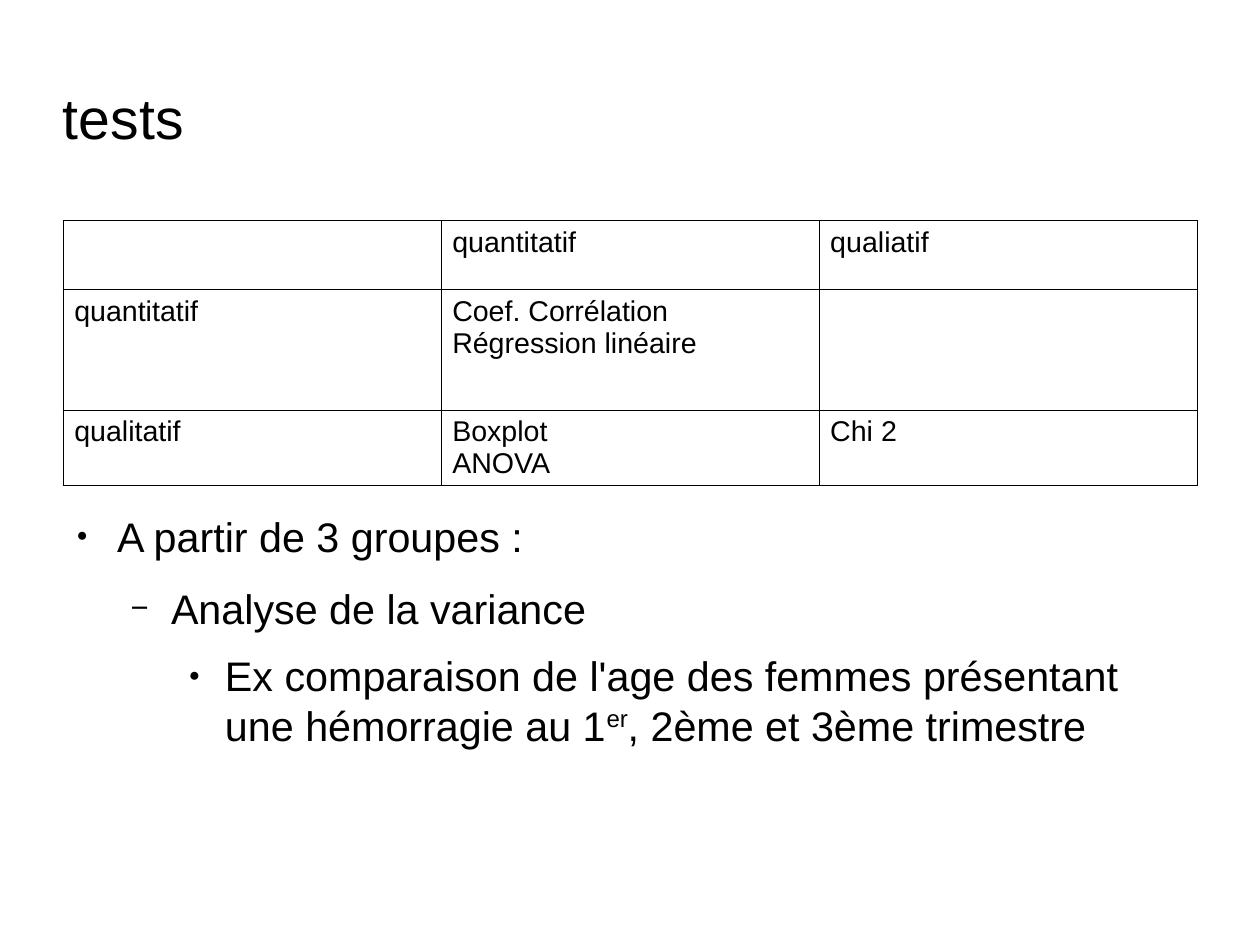
from dataclasses import dataclass

from lxml.etree import SubElement
from pptx import Presentation
from pptx.dml.color import RGBColor
from pptx.enum.text import MSO_ANCHOR, MSO_AUTO_SIZE, PP_ALIGN
from pptx.oxml.ns import qn
from pptx.util import Cm, Pt


@dataclass(frozen=True)
class Theme:
    font: str = "Arial"
    ink: str = "000000"
    paper: str = "FFFFFF"
    title_size: int = 36
    body_size: int = 26
    table_size: int = 18
    border_width: float = 0.57


theme = Theme()


def write(para, text, size, baseline=0, space_after=0):
    para.alignment = PP_ALIGN.LEFT
    para.space_before = Pt(0)
    para.space_after = Pt(space_after)
    span = para.add_run()
    span.text = text
    span.font.name = theme.font
    span.font.size = Pt(size)
    span.font.color.rgb = RGBColor.from_string(theme.ink)
    if baseline:
        span.font._element.set("baseline", str(baseline * 1000))


def add_solid_color(parent, tag, color):
    SubElement(SubElement(parent, qn(tag)), qn("a:srgbClr"), val=color)


deck = Presentation()
deck.slide_width, deck.slide_height = Cm(28), Cm(21)
page = deck.slides.add_slide(deck.slide_layouts[1])
page.background.fill.solid()
page.background.fill.fore_color.rgb = RGBColor.from_string(theme.paper)

left, content_width = Cm(1.4), Cm(25.2)
title, body = page.shapes.title, page.placeholders[1]
title.left, title.top, title.width, title.height = left, Cm(1.6), Cm(20), Cm(2)
body.left, body.top, body.width, body.height = left, Cm(11.35), content_width, Cm(5.82)
for box, anchor in ((title, MSO_ANCHOR.MIDDLE), (body, MSO_ANCHOR.TOP)):
    frame = box.text_frame
    frame.margin_left = frame.margin_right = frame.margin_top = frame.margin_bottom = 0
    frame.vertical_anchor = anchor
    frame.word_wrap = True
    frame.auto_size = MSO_AUTO_SIZE.NONE
write(title.text_frame.paragraphs[0], "tests", theme.title_size)

# Table of tests by variable type
cell_texts = [
    ["", "quantitatif", "qualiatif"],
    ["quantitatif", "Coef. Corrélation\nRégression linéaire", ""],
    ["qualitatif", "Boxplot\nANOVA", "Chi 2"],
]
row_heights = [1.54, 2.67, 1.68]
table = page.shapes.add_table(3, 3, left, Cm(4.9), content_width, Cm(sum(row_heights))).table
table.first_row = table.horz_banding = False
for row, height, texts in zip(table.rows, row_heights, cell_texts):
    row.height = Cm(height)
    for cell, text in zip(row.cells, texts):
        cell.margin_left = cell.margin_right = Cm(0.25)
        cell.margin_top = cell.margin_bottom = Cm(0.13)
        properties = cell._tc.get_or_add_tcPr()
        for side in ("a:lnL", "a:lnR", "a:lnT", "a:lnB"):
            line = SubElement(properties, qn(side), w=str(Pt(theme.border_width)))
            add_solid_color(line, "a:solidFill", theme.ink)
        cell.fill.background()
        for index, line_text in enumerate(text.split("\n")):
            frame = cell.text_frame
            para = frame.add_paragraph() if index else frame.paragraphs[0]
            write(para, line_text, theme.table_size)

# Bulleted outline: runs with baseline, space after, bullet, bullet size, hanging indent
outline = [
    ([("A partir de 3 groupes\u00a0:", 0)], 14.2, "●", 45, 0.9),
    ([("Analyse de la variance", 0)], 11.3, "−", 75, 0.9),
    (
        [
            ("Ex comparaison de l'age des femmes présentant une hémorragie au 1", 0),
            ("er", 33),
            (", 2ème et 3ème trimestre", 0),
        ],
        8.5, "●", 45, 0.8,
    ),
]
for level, (runs, space_after, bullet, bullet_size, hanging) in enumerate(outline):
    para = body.text_frame.add_paragraph() if level else body.text_frame.paragraphs[0]
    para.level = level
    for text, baseline in runs:
        write(para, text, theme.body_size, baseline=baseline, space_after=space_after)
    properties = para._p.get_or_add_pPr()
    properties.set("marL", str(Cm(1.2 * (level + 1))))
    properties.set("indent", str(-Cm(hanging)))
    add_solid_color(properties, "a:buClr", theme.ink)
    SubElement(properties, qn("a:buSzPct"), val=str(bullet_size * 1000))
    SubElement(properties, qn("a:buFont"), typeface=theme.font)
    SubElement(properties, qn("a:buChar"), char=bullet)

deck.save("out.pptx")
